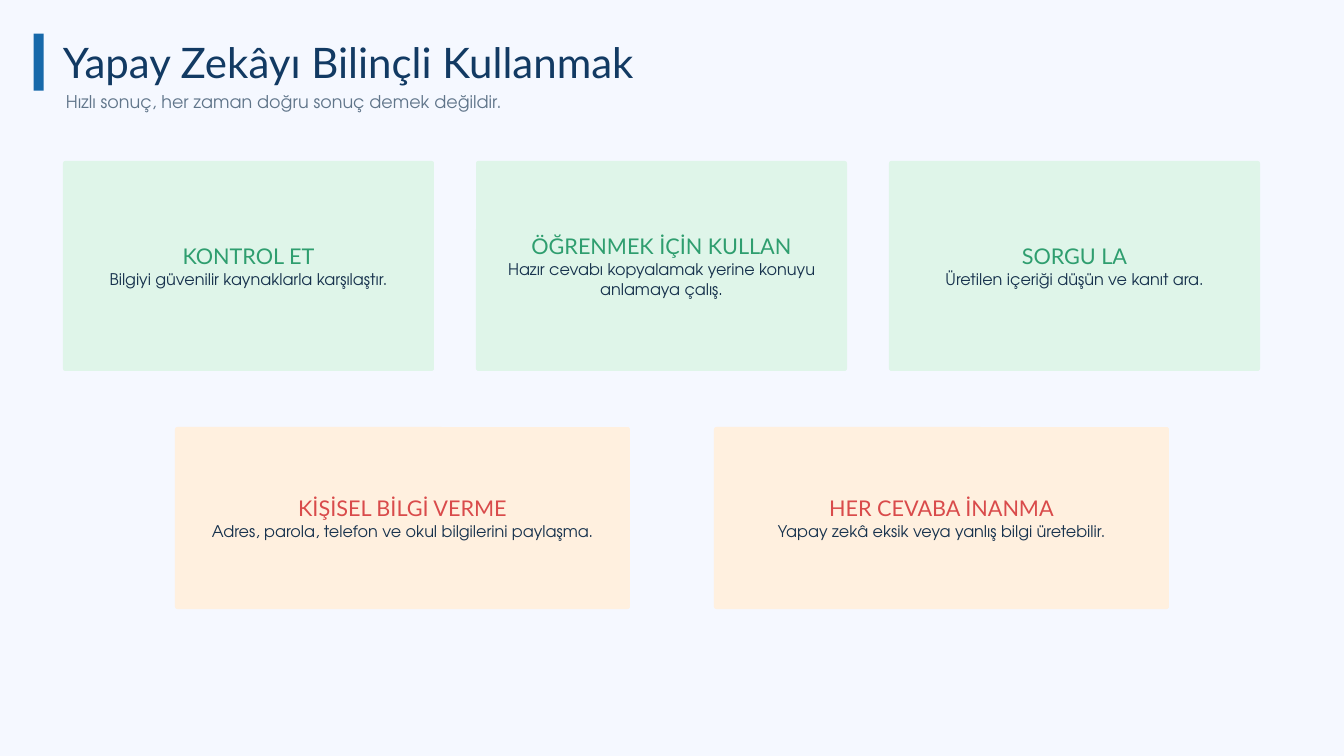
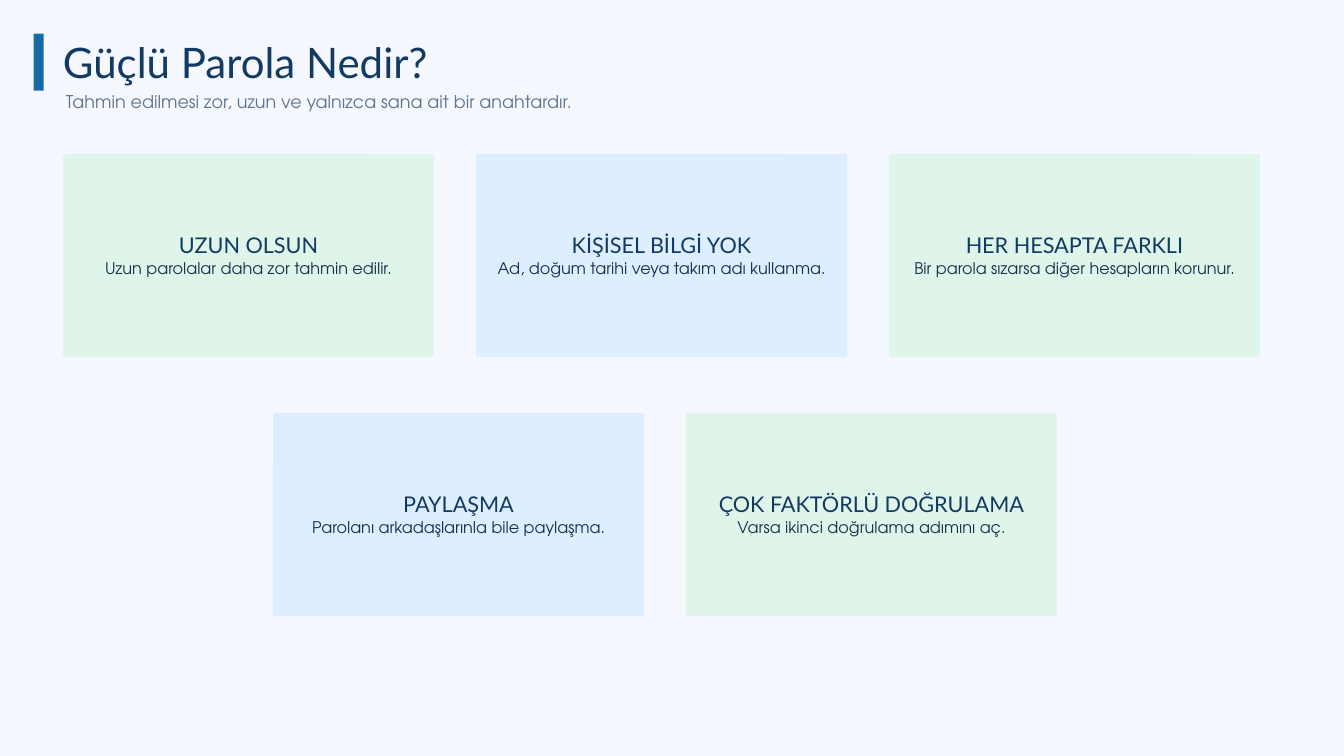
from lxml import etree
from pptx import Presentation
from pptx import util as u
from pptx.dml.color import RGBColor
from pptx.enum import shapes, text
from pptx.oxml.ns import qn

NAVY, INK, GREY, BLUE = "123A63", "17324D", "60758A", "1769AA"
GREEN, RED = "2F9E6F", "D94B4B"
MINT, SKY, PEACH, PAPER = "DFF5E9", "DCEEFF", "FFF0DF", "F5F8FF"
HEADING_FONT, BODY_FONT = "Lato", "TeX Gyre Adventor"
ROW_GAP = 4  # grid units between the two rows of cards
CORNER = 0.17  # corner radius in grid units

# Each row of cards: left, card width, gap, card height (grid units), cards.
# Each card: fill, heading colour, heading, sentence.
SLIDES = [
    ("Yapay Zekâyı Bilinçli Kullanmak",
     "Hızlı sonuç, her zaman doğru sonuç demek değildir.",
     11.5,
     [(4.5, 26.5, 3, 15, [
         (MINT, GREEN, "KONTROL ET", "Bilgiyi güvenilir kaynaklarla karşılaştır."),
         (MINT, GREEN, "ÖĞRENMEK İÇİN KULLAN",
          "Hazır cevabı kopyalamak yerine konuyu anlamaya çalış."),
         (MINT, GREEN, "SORGU LA", "Üretilen içeriği düşün ve kanıt ara.")]),
      (12.5, 32.5, 6, 13, [
          (PEACH, RED, "KİŞİSEL BİLGİ VERME",
           "Adres, parola, telefon ve okul bilgilerini paylaşma."),
          (PEACH, RED, "HER CEVABA İNANMA",
           "Yapay zekâ eksik veya yanlış bilgi üretebilir.")])]),
    ("Güçlü Parola Nedir?",
     "Tahmin edilmesi zor, uzun ve yalnızca sana ait bir anahtardır.",
     11,
     [(4.5, 26.5, 3, 14.5, [
         (MINT, NAVY, "UZUN OLSUN", "Uzun parolalar daha zor tahmin edilir."),
         (SKY, NAVY, "KİŞİSEL BİLGİ YOK", "Ad, doğum tarihi veya takım adı kullanma."),
         (MINT, NAVY, "HER HESAPTA FARKLI",
          "Bir parola sızarsa diğer hesapların korunur.")]),
      (19.5, 26.5, 3, 14.5, [
          (SKY, NAVY, "PAYLAŞMA", "Parolanı arkadaşlarınla bile paylaşma."),
          (MINT, NAVY, "ÇOK FAKTÖRLÜ DOĞRULAMA", "Varsa ikinci doğrulama adımını aç.")])]),
]

presentation = Presentation()
presentation.slide_width, presentation.slide_height = u.Inches(20), u.Inches(11.25)
unit = presentation.slide_width / 96  # the grid has 96 columns and 54 rows

background = presentation.slide_master.background.fill
background.solid()
background.fore_color.rgb = RGBColor.from_string(PAPER)


def add_block(slide, kind, left, top, width, height, color):
    """Add a plain filled shape, measured in grid units."""
    shape = slide.shapes.add_shape(
        kind, *(round(n * unit) for n in (left, top, width, height)))
    shape.shadow.inherit = False
    shape.fill.solid()
    shape.fill.fore_color.rgb = RGBColor.from_string(color)
    shape.line.fill.background()
    return shape


def write(paragraph, words, font_name, size, leading, color, align):
    """Write one run in a paragraph without bullet, on a fixed line height."""
    properties = paragraph._p.get_or_add_pPr()
    properties.set("marL", "0")
    properties.set("indent", "0")
    etree.SubElement(properties, qn("a:buNone"))
    paragraph.alignment = align
    paragraph.line_spacing = u.Pt(leading)
    paragraph.space_before = paragraph.space_after = u.Pt(0)
    run = paragraph.add_run()
    run.text = words
    run.font.name = font_name
    run.font.size = u.Pt(size)
    run.font.color.rgb = RGBColor.from_string(color)


for title, subtitle, top, rows in SLIDES:
    slide = presentation.slides.add_slide(presentation.slide_layouts[1])

    headings = [
        (slide.shapes.title, (4.5, 3.07, 87, 3.25), title, HEADING_FONT, 45, 47.2, NAVY),
        (slide.placeholders[1], (4.7, 6.25, 75, 1.75), subtitle, BODY_FONT, 18.8, 26.2, GREY),
    ]
    for shape, box, words, font_name, size, leading, color in headings:
        shape.left, shape.top, shape.width, shape.height = (round(n * unit) for n in box)
        frame = shape.text_frame
        frame.margin_left = frame.margin_top = frame.margin_right = frame.margin_bottom = 0
        frame.vertical_anchor = text.MSO_ANCHOR.TOP
        frame.auto_size = text.MSO_AUTO_SIZE.NONE
        write(frame.paragraphs[0], words, font_name, size, leading, color, text.PP_ALIGN.LEFT)

    add_block(slide, shapes.MSO_SHAPE.RECTANGLE, 2.4, 2.4, 0.72, 4.08, BLUE)

    for left, width, gap, height, cards in rows:
        for column, (fill, accent, heading, sentence) in enumerate(cards):
            card = add_block(slide, shapes.MSO_SHAPE.ROUNDED_RECTANGLE,
                             left + column * (width + gap), top, width, height, fill)
            card.adjustments[0] = CORNER / height
            frame = card.text_frame
            frame.word_wrap = True
            frame.vertical_anchor = text.MSO_ANCHOR.MIDDLE
            frame.margin_left = frame.margin_right = frame.margin_bottom = u.Inches(0.06)
            frame.margin_top = u.Inches(0.08)
            write(frame.paragraphs[0], heading, HEADING_FONT, 23.2, 25.6, accent,
                  text.PP_ALIGN.CENTER)
            write(frame.add_paragraph(), sentence, BODY_FONT, 17.2, 21.6, INK,
                  text.PP_ALIGN.CENTER)
        top += height + ROW_GAP

presentation.save("out.pptx")
